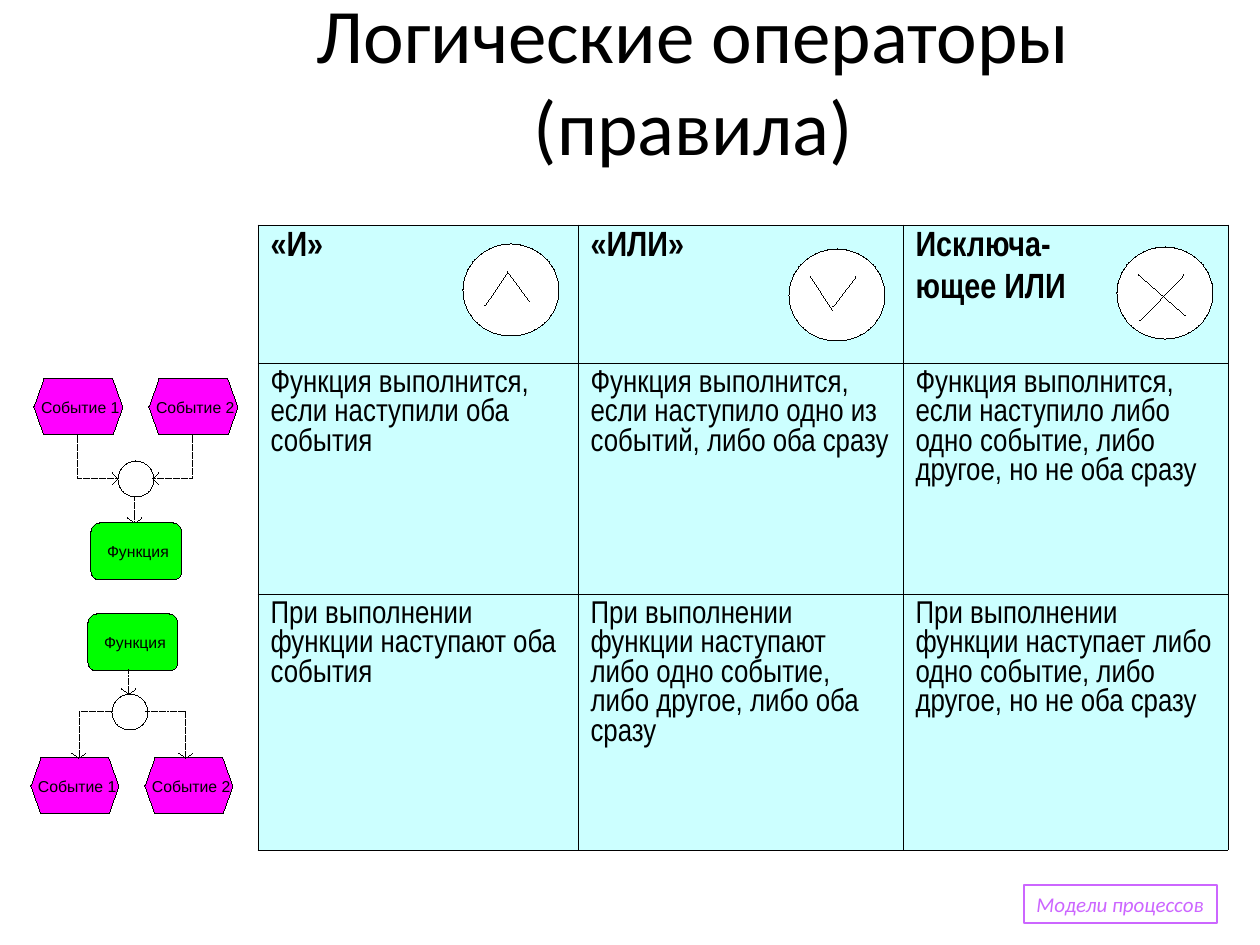
from lxml import etree
from pptx import Presentation
from pptx.dml.color import RGBColor
from pptx.enum.dml import MSO_LINE
from pptx.enum.shapes import MSO_CONNECTOR, MSO_SHAPE
from pptx.enum.text import MSO_ANCHOR, MSO_AUTO_SIZE, PP_ALIGN
from pptx.oxml.ns import qn
from pptx.util import Pt

PX = 914400 / 126
STRAIGHT = MSO_CONNECTOR.STRAIGHT
OVAL, RECT, ROUNDED = MSO_SHAPE.OVAL, MSO_SHAPE.RECTANGLE, MSO_SHAPE.ROUNDED_RECTANGLE
DOTTED = MSO_LINE.ROUND_DOT
GROW = MSO_AUTO_SIZE.SHAPE_TO_FIT_TEXT
LEFT, CENTER = PP_ALIGN.LEFT, PP_ALIGN.CENTER
TOP, MIDDLE = MSO_ANCHOR.TOP, MSO_ANCHOR.MIDDLE
BLACK, WHITE, MAGENTA, GREEN = "000000", "FFFFFF", "FF00FF", "00FF00"
CYAN, VIOLET = "CCFFFF", "CC66FF"

RULES = [
    ["«И»", "«ИЛИ»", "Исключа-\nющее ИЛИ"],
    ["Функция выполнится, если наступили оба события",
     "Функция выполнится, если наступило одно из событий, либо оба сразу",
     "Функция выполнится, если наступило либо одно событие, либо другое, но не оба сразу"],
    ["При выполнении функции наступают оба события",
     "При выполнении функции наступают либо одно событие, либо другое, либо оба сразу",
     "При выполнении функции наступает либо одно событие, либо другое, но не оба сразу"],
]
COLUMNS, ROWS = [320, 325, 325], [138, 231, 256]
SYMBOLS = [
    ((463, 244, 96, 92), [(45, 28, 22, 62), (45, 28, 67, 58)]),
    ((789, 249, 96, 92), [(44, 62, 22, 28), (44, 58, 67, 28)]),
    ((1117, 247, 96, 92), [(69, 69, 22, 28), (23, 74, 67, 28)]),
]


def emu(*lengths):
    """Turn px lengths into EMU."""
    return [round(length * PX) for length in lengths]


def color(value):
    """Turn a hex string into a colour."""
    return RGBColor.from_string(value)


def write(frame, text, font="Arial", size=9, ink=BLACK, bold=False, italic=False,
          align=LEFT, anchor=TOP, before=0, wrap=True, margins=None):
    """Write text into a frame, one paragraph for each line."""
    frame.word_wrap = wrap
    frame.vertical_anchor = anchor
    if margins is not None:
        frame.margin_left = frame.margin_right = frame.margin_top = frame.margin_bottom = margins
    for index, line in enumerate(text.split("\n")):
        para = frame.add_paragraph() if index else frame.paragraphs[0]
        para.alignment, para.space_before = align, Pt(before)
        span = para.add_run()
        span.text = line
        span.font.name, span.font.size = font, Pt(size)
        span.font.bold, span.font.italic = bold, italic
        span.font.color.rgb = color(ink)


def outline(shape, line=BLACK, width=0, dash=None):
    """Set an outline, writing out the zero width of a hairline."""
    shape.line.color.rgb = color(line)
    if dash:
        shape.line.dash_style = dash
    shape._element.spPr.find(qn("a:ln")).set("w", str(Pt(width)))


def style(shape, fill=None, **line):
    """Set the fill and outline of a shape."""
    shape.shadow.inherit = False
    if fill:
        shape.fill.solid()
        shape.fill.fore_color.rgb = color(fill)
    else:
        shape.fill.background()
    outline(shape, **line)
    return shape


def add_preset(shapes, kind, box, **look):
    """Add a preset shape."""
    return style(shapes.add_shape(kind, *emu(*box)), **look)


def add_path(shapes, points, close=False, **look):
    """Add a freeform through the points."""
    builder = shapes.build_freeform(*points[0], scale=PX)
    builder.add_line_segments(points[1:], close=close)
    return style(builder.convert_to_shape(), **look)


def add_line(shapes, start, end, dash=None):
    """Add a straight hairline."""
    line = shapes.add_connector(STRAIGHT, *emu(*start, *end))
    outline(line, dash=dash)
    etree.SubElement(line._element.spPr, qn("a:effectLst"))


def add_arrow(shapes, *points):
    """Add a dotted straight or bent arrow with an open head."""
    if len(points) == 2:
        add_line(shapes, *points, dash=DOTTED)
    else:
        add_path(shapes, points, dash=DOTTED)
    (from_x, from_y), (x, y) = points[-2:]
    if from_x == x:
        head = [(x - 7, y - 5), (x, y), (x + 7, y - 5)]
    else:
        back = x - 6 if from_x < x else x + 6
        head = [(back, y - 6), (x, y), (back, y + 6)]
    add_path(shapes, head)


def add_label(shapes, box, text):
    """Add a small diagram label."""
    frame = shapes.add_textbox(*emu(*box)).text_frame
    frame.auto_size = GROW
    write(frame, text, wrap=False, margins=0)


def add_event(shapes, box, text):
    """Add an event hexagon."""
    x, y, w, h = box
    points = [(x + 10, y), (x + w - 10, y), (x + w, y + h // 2),
              (x + w - 10, y + h), (x + 10, y + h), (x, y + h // 2)]
    add_path(shapes, points, close=True, fill=MAGENTA)
    add_label(shapes, (x + 7, y + 19, 80, 19), text)


def add_function(shapes, box):
    """Add a function box."""
    x, y, w, h = box
    add_preset(shapes, ROUNDED, box, fill=GREEN).adjustments[0] = 0.15
    add_label(shapes, (x + 16, y + 19, 62, 19), "Функция")


def add_join(page, box):
    """Draw two events leading to a function."""
    x, y, w, h = box
    shapes = page.shapes.add_group_shape().shapes
    for number in (1, 2):
        add_event(shapes, (x + 115 * (number - 1), y, 89, 56), f"Событие {number}")
    add_preset(shapes, OVAL, (x + 84, y + 82, 36, 36), fill=WHITE)
    for start, end in ((44, 84), (159, 119)):
        add_arrow(shapes, (x + start, y + 57), (x + start, y + 100), (x + end, y + 100))
    add_function(shapes, (x + 57, y + h - 57, 91, 57))
    add_arrow(shapes, (x + 101, y + 118), (x + 101, y + h - 57))


def add_split(page, box):
    """Draw a function leading to two events."""
    x, y, w, h = box
    shapes = page.shapes.add_group_shape().shapes
    for number in (1, 2):
        add_event(shapes, (x + 114 * (number - 1), y + h - 56, 88, 56), f"Событие {number}")
    add_function(shapes, (x + 57, y, 90, 57))
    add_preset(shapes, OVAL, (x + 81, y + 80, 36, 36), fill=WHITE)
    add_arrow(shapes, (x + 98, y + 56), (x + 98, y + 80))
    for start, end in ((81, 48), (115, 155)):
        add_arrow(shapes, (x + start, y + 97), (x + end, y + 97), (x + end, y + h - 56))


def add_symbol(page, box, strokes):
    """Draw an operator symbol in a circle."""
    x, y, w, h = box
    shapes = page.shapes.add_group_shape().shapes
    add_preset(shapes, OVAL, box, fill=WHITE)
    for x1, y1, x2, y2 in strokes:
        add_line(shapes, (x + x1, y + y1), (x + x2, y + y2))


def add_borders(cell):
    """Give a cell thin black borders."""
    props = cell._tc.get_or_add_tcPr()
    for side in ("a:lnL", "a:lnR", "a:lnT", "a:lnB"):
        line = etree.SubElement(props, qn(side), w=str(Pt(0.45)))
        fill = etree.SubElement(line, qn("a:solidFill"))
        etree.SubElement(fill, qn("a:srgbClr"), val=BLACK)


def add_rules(page, box):
    """Add the table of operator rules."""
    table = page.shapes.add_table(len(ROWS), len(COLUMNS), *emu(*box)).table
    for column, width in zip(table.columns, emu(*COLUMNS)):
        column.width = width
    for index, (row, height) in enumerate(zip(table.rows, emu(*ROWS))):
        row.height = height
        size = 18 if index else 20
        for cell, text in zip(row.cells, RULES[index]):
            add_borders(cell)
            cell.fill.solid()
            cell.fill.fore_color.rgb = color(CYAN)
            write(cell.text_frame, text, font="Arial Narrow", size=size,
                  bold=index == 0, before=size / 4)


def add_title(page, box):
    """Add the slide title."""
    write(page.shapes.add_textbox(*emu(*box)).text_frame, "Логические операторы (правила)",
          font="Calibri", size=44, align=CENTER, anchor=MIDDLE)


def add_footer(page, box):
    """Add the framed section name."""
    frame = add_preset(page.shapes, RECT, box, line=VIOLET, width=0.75).text_frame
    write(frame, "Модели процессов", font="Calibri", size=12, ink=VIOLET,
          italic=True, wrap=False)


def main():
    """Build and save the deck."""
    deck = Presentation()
    deck.slide_width, deck.slide_height = emu(1260, 945)
    page = deck.slides.add_slide(deck.slide_layouts[6])
    add_title(page, (179, 42, 1029, 73))
    add_rules(page, (258, 225, 970, 625))
    add_join(page, (34, 379, 204, 201))
    for box, strokes in SYMBOLS:
        add_symbol(page, box, strokes)
    add_split(page, (31, 614, 202, 200))
    add_footer(page, (1024, 885, 193, 38))
    deck.save("out.pptx")


if __name__ == "__main__":
    main()
